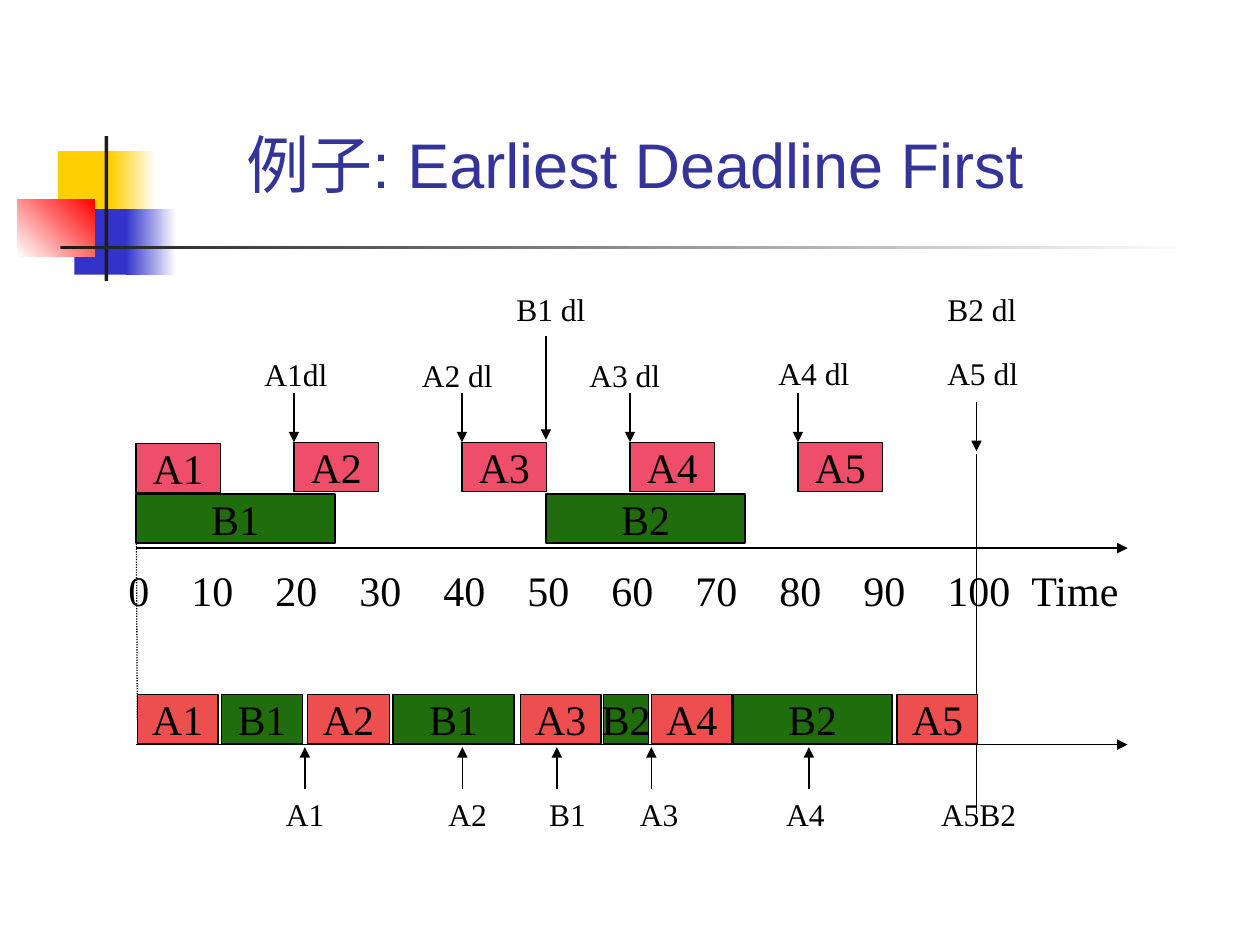
import pptx
import pptx.util
import pptx.dml.color
import pptx.enum.dml
import pptx.enum.shapes
import pptx.enum.text
import pptx.oxml
import pptx.oxml.ns
from lxml import etree
from pptx.util import Inches

COLORS = {
    "ink": "000000", "title": "333399", "yellow": "FFCF01", "blue": "3333CC",
    "red": "FF0000", "white": "FFFFFF", "bar": "1C1C1C",
    "task_a": "EE4E69", "run_a": "ED4F4F", "task_b": "1F6D0D",
}
SERIF = "Times New Roman"
UNIT = 1 / 15  # inches per time unit
BLOCK_H = 0.39


def rgb(name):
    return pptx.dml.color.RGBColor.from_string(COLORS[name])


def set_font(paragraph, size, color="ink", face=SERIF):
    paragraph.font.size = pptx.util.Pt(size)
    paragraph.font.name = face
    paragraph.font.color.rgb = rgb(color)


def add_box(slide, left, top, width, height):
    box = slide.shapes.add_shape(pptx.enum.shapes.MSO_SHAPE.RECTANGLE, Inches(left),
                                 Inches(top), Inches(width), Inches(height))
    box.shadow.inherit = False
    return box


def add_block(slide, left, top, width, task, color):
    block = add_box(slide, left, top, width, BLOCK_H)
    block.fill.solid()
    block.fill.fore_color.rgb = rgb(color)
    block.line.color.rgb = rgb("ink")
    block.line.width = pptx.util.Pt(0.75)
    frame = block.text_frame
    frame.word_wrap = False
    frame.vertical_anchor = pptx.enum.text.MSO_ANCHOR.MIDDLE
    paragraph = frame.paragraphs[0]
    paragraph.text = task
    paragraph.alignment = pptx.enum.text.PP_ALIGN.CENTER
    set_font(paragraph, 24)


def add_line(slide, start, end, width=0.75, arrow=False, dotted=False):
    line = slide.shapes.add_connector(pptx.enum.shapes.MSO_CONNECTOR.STRAIGHT,
                                      *(Inches(v) for v in (*start, *end)))
    line.line.color.rgb = rgb("ink")
    line.line.width = pptx.util.Pt(width)
    if dotted:
        line.line.dash_style = pptx.enum.dml.MSO_LINE.ROUND_DOT
    if arrow:
        etree.SubElement(line.line._get_or_add_ln(),
                         pptx.oxml.ns.qn("a:tailEnd"), type="triangle")
    etree.SubElement(line._element.spPr, pptx.oxml.ns.qn("a:effectLst"))


def add_label(slide, left, top, width, height, words, size=18, space=11.2, stops=()):
    """Write words in one line, the later ones at the given tab stops."""
    label = slide.shapes.add_textbox(Inches(left), Inches(top), Inches(width), Inches(height))
    label.text_frame.word_wrap = True
    paragraph = label.text_frame.paragraphs[0]
    paragraph.add_run().text = "\t".join(words)
    paragraph.space_before = pptx.util.Pt(space)
    if stops:
        tabs = etree.SubElement(paragraph._p.get_or_add_pPr(), pptx.oxml.ns.qn("a:tabLst"))
        for stop in stops:
            etree.SubElement(tabs, pptx.oxml.ns.qn("a:tab"), pos=str(Inches(stop)), algn="l")
    set_font(paragraph, size)


def add_decoration(slide, left, top):
    """Coloured squares with a vertical bar and a fading rule."""
    for dx, dy, width, height, start, end, angle in [
        (0.32, 0.12, 0.48, 0.52, "yellow", None, 0),
        (0.74, 0.12, 0.36, 0.52, "yellow", "white", 0),
        (0.45, 0.58, 0.46, 0.52, "blue", None, 0),
        (0.86, 0.58, 0.4, 0.52, "blue", "white", 0),
        (0, 0.5, 0.61, 0.46, "white", "red", 45),
        (0.69, 0, 0.03, 1.15, "bar", None, 0),
        (0.34, 0.87, 9, 0.03, "bar", "white", 0),
    ]:
        patch = add_box(slide, left + dx, top + dy, width, height)
        patch.line.fill.background()
        if end is None:
            patch.fill.solid()
            patch.fill.fore_color.rgb = rgb(start)
        else:
            patch.fill.gradient()
            patch.fill.gradient_angle = angle
            for stop, color in zip(patch.fill.gradient_stops, (start, end)):
                stop.color.rgb = rgb(color)


def add_title(slide, left, top, width, height):
    title = slide.shapes.title
    title.left, title.top = Inches(left), Inches(top)
    title.width, title.height = Inches(width), Inches(height)
    title.text_frame.vertical_anchor = pptx.enum.text.MSO_ANCHOR.MIDDLE
    paragraph = title.text_frame.paragraphs[0]
    paragraph.text = "例子: Earliest Deadline First"
    paragraph.alignment = pptx.enum.text.PP_ALIGN.CENTER
    set_font(paragraph, 36, "title", "Arial")


def add_arrivals(slide, left, top, width):
    """Task arrivals and deadlines above the time axis."""
    def at(time):
        return left - 0.08 + time * UNIT

    row_a, row_b, axis = top + 1.26, top + 1.67, top + 2.1
    add_line(slide, (left, axis), (left + width, axis), 1.5, arrow=True)
    times = [str(time) for time in range(0, 101, 10)]
    add_label(slide, left - 0.16, top + 2.18, 8.08, 0.5, times + ["Time"], 24, 15,
              [0.5 + 10 * UNIT * step for step in range(len(times))])

    add_block(slide, left, row_a + 0.01, 0.67, "A1", "task_a")
    for number in range(2, 6):
        add_block(slide, at(20 * (number - 1)), row_a, 0.67, f"A{number}", "task_a")
    add_block(slide, left, row_b, 1.58, "B1", "task_b")
    add_block(slide, at(50), row_b, 1.58, "B2", "task_b")

    for words, x, y, label_w in [
        ("A1dl", 0.92, 0.52, 0.75), ("A2 dl", 2.17, 0.53, 0.83),
        ("A3 dl", 3.5, 0.53, 0.83), ("A4 dl", 5, 0.51, 0.92),
        ("A5 dl", 6.34, 0.51, 0.83), ("B1 dl", 2.92, 0, 0.75), ("B2 dl", 6.34, 0, 0.75),
    ]:
        add_label(slide, left + x, top + y, label_w, 0.4, [words])
    for time in (20, 40, 60, 80):
        add_line(slide, (at(time), row_a - 0.39), (at(time), row_a), arrow=True)
    add_line(slide, (at(50), top + 0.42), (at(50), row_a - 0.02), arrow=True)
    add_line(slide, (left + 6.67, top + 0.94), (left + 6.67, top + 1.33), arrow=True)


def add_schedule(slide, left, top, width):
    """Order in which the tasks run, with their completions below."""
    axis = top + 0.4
    add_line(slide, (left, axis), (left + width, axis), arrow=True)
    for task, x, block_w in [
        ("A1", 0.01, 0.64), ("B1", 0.68, 0.64), ("A2", 1.36, 0.65),
        ("B1", 2.04, 0.96), ("A3", 3.05, 0.64), ("B2", 3.71, 0.36),
        ("A4", 4.09, 0.64), ("B2", 4.74, 1.26), ("A5", 6.04, 0.64),
    ]:
        color = "run_a" if task.startswith("A") else "task_b"
        add_block(slide, left + x, top, block_w, task, color)
    for x in (1.34, 2.59, 3.34, 4.09, 5.34):
        add_line(slide, (left + x, top + 0.75), (left + x, top + 0.42), arrow=True)
    add_label(slide, left + 1.09, top + 0.75, 7.09, 0.4,
              ["A1", "A2", "B1", "A3", "A4", "A5B2"], stops=(1.29, 2.09, 2.81, 3.97, 5.2))


def main():
    deck = pptx.Presentation()
    deck.slide_width, deck.slide_height = Inches(10), Inches(7.5)
    slide = deck.slides.add_slide(deck.slide_layouts[5])
    add_decoration(slide, 0.14, 1.08)
    add_title(slide, 0.58, 0.67, 8.92, 1.25)
    add_line(slide, (1.08, 3.72), (1.09, 5.71), dotted=True)
    add_arrivals(slide, 1.08, 2.25, 7.87)
    add_line(slide, (7.75, 3.6), (7.75, 6.46), 0.25, dotted=True)
    add_schedule(slide, 1.08, 5.51, 7.87)
    deck.save("out.pptx")


if __name__ == "__main__":
    main()
